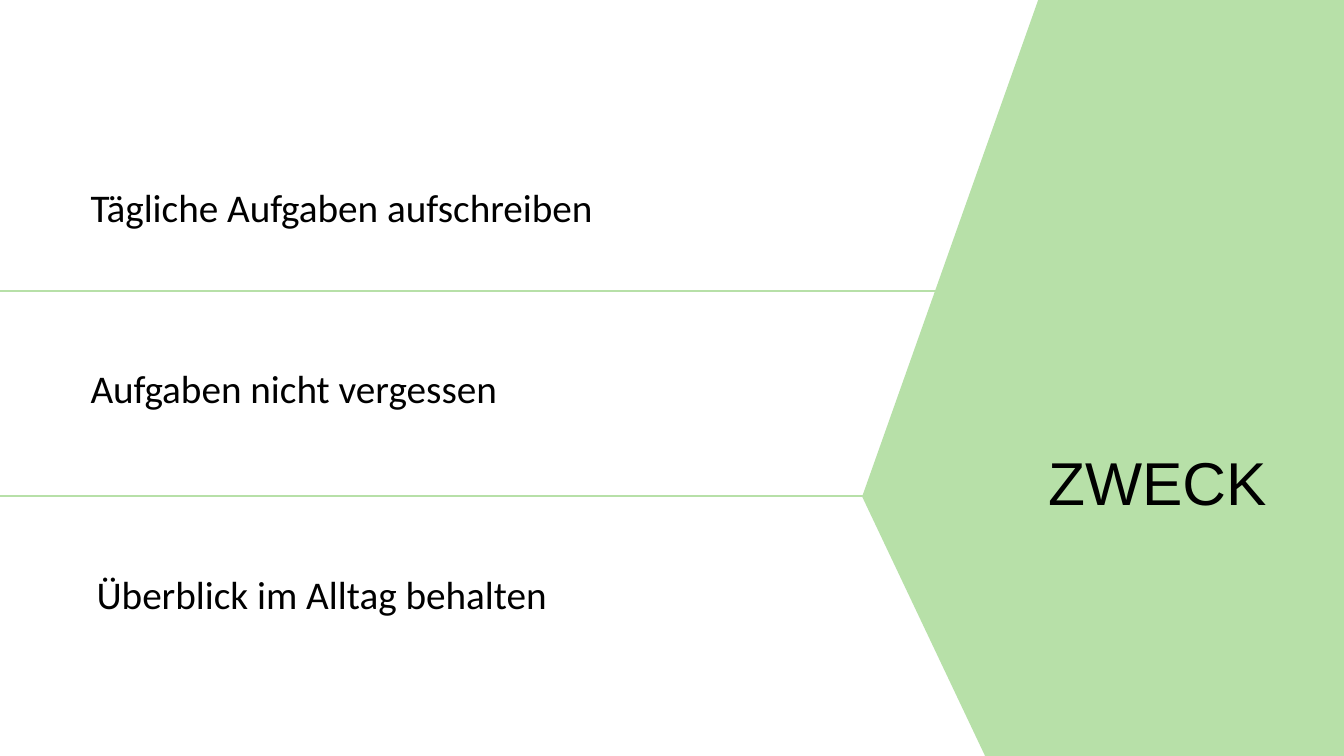
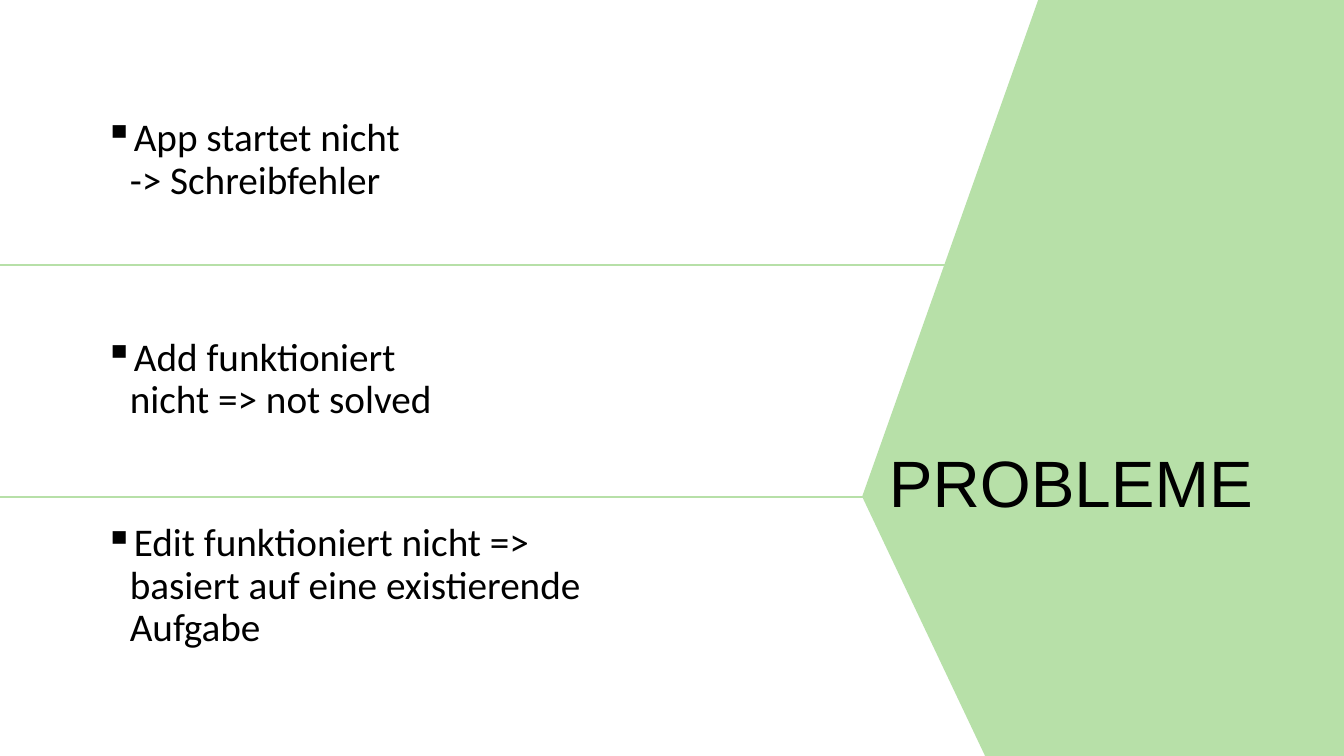
from dataclasses import dataclass

from lxml import etree
from pptx import Presentation
from pptx import util as u
from pptx.dml.color import RGBColor
from pptx.enum import shapes, text
from pptx.oxml import ns


@dataclass(frozen=True)
class Theme:
    green: RGBColor = RGBColor(0xB7, 0xE0, 0xA8)
    black: RGBColor = RGBColor(0, 0, 0)
    head: str = "Arial"
    body: str = "Calibri"
    size: float = 28
    rule: float = 1.5
    indent: float = 0.25
    lead: float = 0.9


theme = Theme()
deck = Presentation()
deck.slide_width, deck.slide_height = u.Inches(13.33), u.Inches(7.5)

# All places and sizes are percentages of the slide's width and height.
BAND = [(77.25, 0), (100, 0), (100, 100), (73.3, 100), (64.15, 65.7)]
RULE_END = 70.5

SLIDES = [
    dict(
        title=("ZWECK", 43.2, 77.25, 20.25),
        rules=[38.53, 65.6],
        bullet=None,
        items=[
            ("Tägliche Aufgaben aufschreiben", 6, 24.27, 41.25, 7.6),
            ("Aufgaben nicht vergessen", 6, 48.2, 55, 7.6),
            ("Überblick im Alltag behalten", 6.45, 75.55, 55, 7.6),
        ],
    ),
    dict(
        title=("PROBLEME", 46.8, 65.4, 34.6),
        rules=[35.07, 65.73],
        bullet="▪",
        items=[
            ("App startet nicht -> Schreibfehler", 7.05, 14.93, 24.3, 15.33),
            ("Add funktioniert nicht => not solved", 7.05, 44, 29.55, 15.33),
            ("Edit funktioniert nicht => basiert auf eine existierende Aufgabe",
             7.05, 68.53, 38.4, 17.73),
        ],
    ),
]


def place(x, y):
    """Turn percentages of the slide into lengths."""
    return int(deck.slide_width * x / 100), int(deck.slide_height * y / 100)


def write(slide, words, area, face, size, bullet=None):
    """Add a text box of one paragraph and return its frame."""
    x, y, w, h = area
    frame = slide.shapes.add_textbox(*place(x, y), *place(w, h)).text_frame
    frame.word_wrap = True
    para = frame.paragraphs[0]
    para.text = words
    para.line_spacing = theme.lead
    if bullet:
        props = para._p.get_or_add_pPr()
        step = u.Inches(theme.indent)
        props.set("marL", str(step))
        props.set("indent", str(-step))
        etree.SubElement(props, ns.qn("a:buChar")).set("char", bullet)
    font = para.font
    font.name, font.size = face, u.Pt(size)
    font.color.rgb = theme.black
    return frame


for page in SLIDES:
    slide = deck.slides.add_slide(deck.slide_layouts[6])

    for y in page["rules"]:
        rule = slide.shapes.add_connector(
            shapes.MSO_CONNECTOR.STRAIGHT, *place(0, y), *place(RULE_END, y))
        rule.line.color.rgb = theme.green
        rule.line.width = u.Pt(theme.rule)
        etree.SubElement(rule._element.spPr, ns.qn("a:effectLst"))

    start, *rest = [place(x, y) for x, y in BAND]
    pen = slide.shapes.build_freeform(*start)
    pen.add_line_segments(rest, close=True)
    band = pen.convert_to_shape()
    band.shadow.inherit = False
    band.fill.solid()
    band.fill.fore_color.rgb = theme.green
    band.line.fill.background()

    words, size, x, w = page["title"]
    title = write(slide, words, (x, 54.67, w, 19.33), theme.head, size)
    title.vertical_anchor = text.MSO_ANCHOR.MIDDLE

    for words, *area in page["items"]:
        write(slide, words, area, theme.body, theme.size, page["bullet"])

deck.save("out.pptx")
